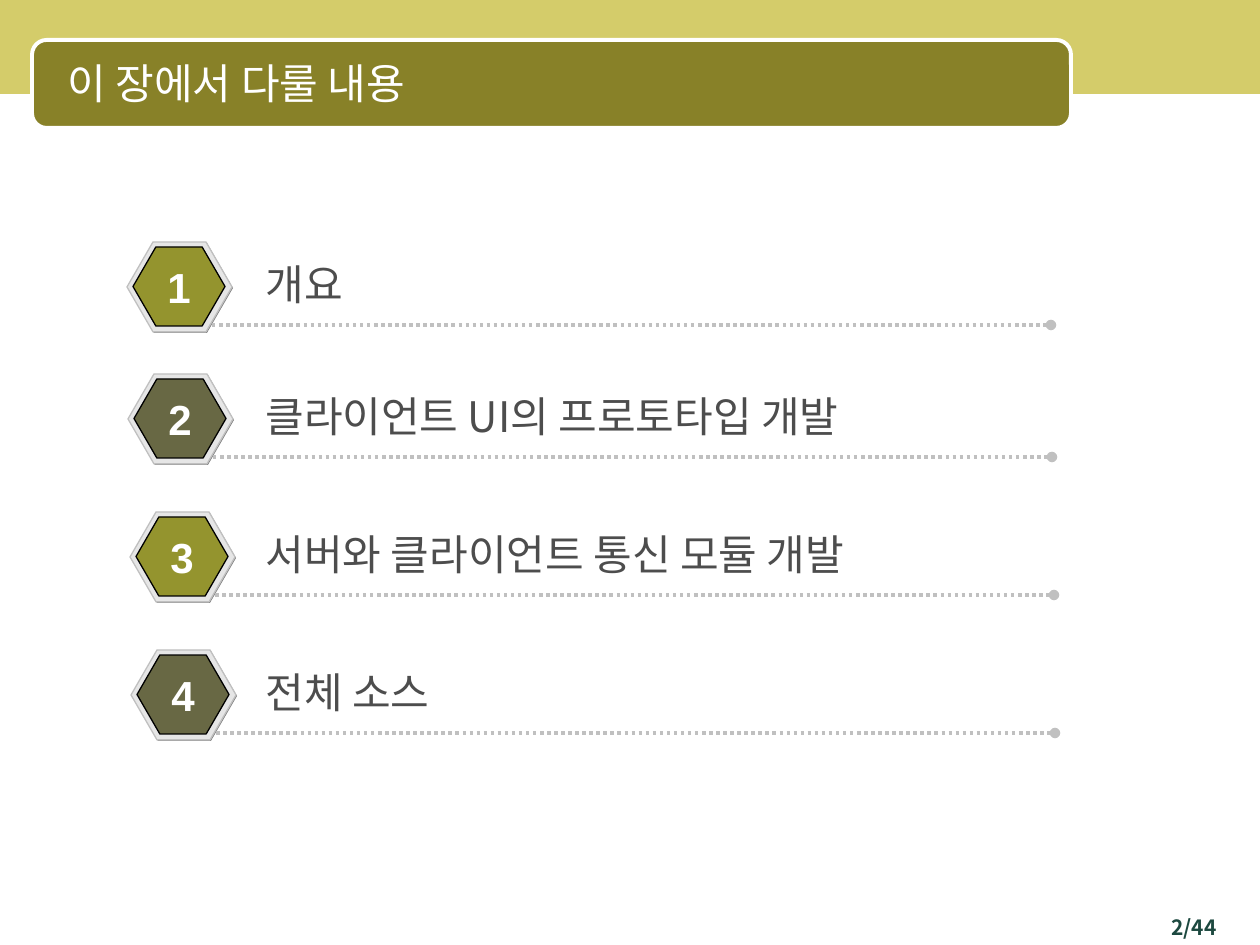
from lxml.etree import SubElement
from pptx import Presentation
from pptx.dml.color import RGBColor
from pptx.enum.dml import MSO_LINE as Dash
from pptx.enum.shapes import MSO_CONNECTOR as Link, MSO_SHAPE as Kind
from pptx.enum.text import MSO_ANCHOR as Anchor, MSO_AUTO_SIZE as Fit, PP_ALIGN as Align
from pptx.oxml.ns import qn
from pptx.util import Emu, Pt

SCALE = 914400 / 126
SANS, ARIAL = "Noto Sans CJK KR", "Arial"
WHITE = RGBColor(0xFF, 0xFF, 0xFF)
BLACK = RGBColor(0x00, 0x00, 0x00)
SAND = RGBColor(0xD4, 0xCC, 0x6A)
OLIVE = RGBColor(0x88, 0x81, 0x28)
GREEN = RGBColor(0x1D, 0x49, 0x40)
TEXT = RGBColor(0x4D, 0x4D, 0x4D)
SHADE = RGBColor(0x80, 0x80, 0x80)
RIM = RGBColor(0xE6, 0xE6, 0xE6)
SILVER = RGBColor(0xC0, 0xC0, 0xC0)
LIME = RGBColor(0x80, 0x80, 0x00)
MOSS = RGBColor(0x33, 0x33, 0x00)

TOPICS = [
    (127, 242, "개요"),
    (128, 374, "클라이언트 UI의 프로토타입 개발"),
    (130, 512, "서버와 클라이언트 통신 모듈 개발"),
    (131, 650, "전체 소스"),
]
TINTS = [(LIME, 80), (MOSS, 70)]


def px(*vals):
    """Turn pixel lengths into EMU."""
    return [Emu(round(val * SCALE)) for val in vals]


def add_run(para, text, color, size=24, font=SANS, bold=False):
    """Add one styled run to a paragraph."""
    run = para.add_run()
    run.text = text
    run.font.size = Pt(size)
    run.font.bold = bold
    run.font.color.rgb = color
    run.font.name = font
    SubElement(run.font._element, qn("a:ea"), typeface=font)


def add_form(shapes, kind, box, fill, line=None, width=0.75, adj=None, alpha=None):
    """Add a filled preset shape with an optional outline and opacity."""
    form = shapes.add_shape(kind, *px(*box))
    form.shadow.inherit = False
    form.fill.solid()
    form.fill.fore_color.rgb = fill
    if alpha:
        tint = form._element.spPr.find(qn("a:solidFill"))[0]
        SubElement(tint, qn("a:alpha"), val=str(alpha * 1000))
    if line is None:
        form.line.fill.background()
    else:
        form.line.color.rgb = line
        form.line.width = Pt(width)
    if adj:
        form.adjustments[0] = adj


def add_label(shapes, box, text, color, align=Align.LEFT, wrap=True, fit=Fit.SHAPE_TO_FIT_TEXT, **style):
    """Add a text box with a single run."""
    frame = shapes.add_textbox(*px(*box)).text_frame
    frame.word_wrap = wrap
    frame.auto_size = fit
    para = frame.paragraphs[0]
    para.alignment = align
    add_run(para, text, color, **style)


def add_rule(shapes, x, y, width):
    """Add a dotted line that ends in a dot."""
    rule = shapes.add_connector(Link.STRAIGHT, *px(x, y, x + width, y))
    rule.line.color.rgb = SILVER
    rule.line.width = Pt(2)
    rule.line.dash_style = Dash.ROUND_DOT
    SubElement(rule.line._get_or_add_ln(), qn("a:tailEnd"), type="oval")
    SubElement(rule._element.spPr, qn("a:effectLst"))


def add_badge(slide, x, y, num):
    """Add a numbered hexagon with its rule as one group."""
    shapes = slide.shapes.add_group_shape().shapes
    tint, alpha = TINTS[(num - 1) % len(TINTS)]
    add_form(shapes, Kind.HEXAGON, (x + 1, y + 1, 105, 90), SHADE, adj=0.289)
    add_form(shapes, Kind.HEXAGON, (x, y, 105, 90), RIM, SILVER, adj=0.289)
    add_form(shapes, Kind.HEXAGON, (x + 6, y + 5, 92, 79), tint, BLACK, adj=0.289, alpha=alpha)
    add_rule(shapes, x + 85, y + 83, 839)
    add_label(shapes, (x + 28, y + 13, 48, 63), str(num), WHITE, Align.CENTER, False, font=ARIAL, bold=True)


def add_title(slide, text):
    """Place the title above the banner."""
    title = slide.shapes.title
    slide.shapes._spTree.append(title._element)
    title.left, title.top, title.width, title.height = px(42, 44, 1018, 78)
    frame = title.text_frame
    frame.auto_size = Fit.NONE
    frame.vertical_anchor = Anchor.MIDDLE
    para = frame.paragraphs[0]
    para.alignment = Align.LEFT
    indent, hang = px(62, -49)
    props = para._p.get_or_add_pPr()
    props.set("marL", str(indent))
    props.set("indent", str(hang))
    add_run(para, text, WHITE)


def main():
    """Build the chapter contents slide."""
    deck = Presentation()
    deck.slide_width, deck.slide_height = px(1260, 945)
    slide = deck.slides.add_slide(deck.slide_layouts[5])
    shapes = slide.shapes
    add_form(shapes, Kind.RECTANGLE, (-1, 0, 1262, 94), SAND)
    add_form(shapes, Kind.ROUNDED_RECTANGLE, (32, 40, 1039, 88), OLIVE, WHITE, 2.25, 0.167)
    add_label(shapes, (1113, 908, 116, 37), "2/44", GREEN, Align.RIGHT, fit=Fit.NONE, size=12, bold=True)
    add_title(slide, "이 장에서 다룰 내용")
    for num, (x, y, text) in enumerate(TOPICS, 1):
        add_label(shapes, (253, y + 10, 828, 63), text, TEXT)
        add_badge(slide, x, y, num)
    deck.save("out.pptx")


if __name__ == "__main__":
    main()
